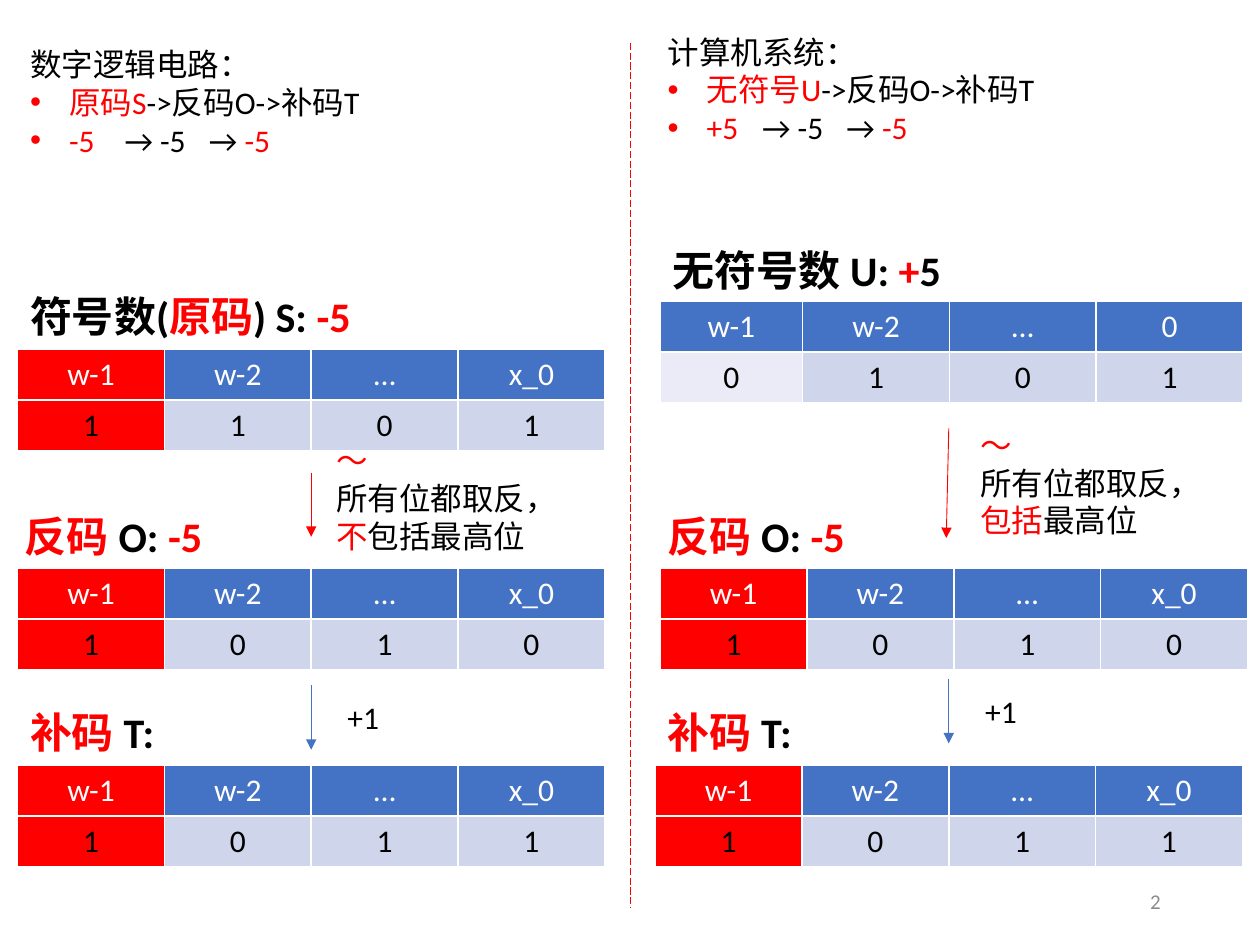
from lxml import etree
from pptx import Presentation
from pptx import util as u
from pptx.dml.color import RGBColor
from pptx.enum import dml, shapes, text
from pptx.oxml import ns

RED = RGBColor(0xFF, 0x00, 0x00)
BLUE = RGBColor(0x44, 0x72, 0xC4)
BLACK = RGBColor(0x00, 0x00, 0x00)
WHITE = RGBColor(0xFF, 0xFF, 0xFF)
GREY = RGBColor(0x8C, 0x8C, 0x8C)
BAND = RGBColor(0xCF, 0xD5, 0xEA)
PALE = RGBColor(0xEA, 0xEB, 0xF6)

FONT = "Calibri"
COLUMN, ROW = 1.165, 0.405
INDENT = 0.31
TAB_STOPS = (0.75, 1.42)

# Paragraphs are lists of (words, colour) spans.
# Headings: left, top, width, spans
ONES = [("反码 ", RED), ("O: ", BLACK), ("-5", RED)]
TWOS = [("补码 ", RED), ("T:", BLACK)]
HEADINGS = [
    (5.24, 1.89, 4.25, [("无符号数 U: ", BLACK), ("+", RED), ("5", BLACK)]),
    (0.14, 2.26, 4.63,
     [("符号数(", BLACK), ("原码", RED), (") S: ", BLACK), ("-5", RED)]),
    (0.10, 4.00, 3.66, ONES),
    (5.20, 4.00, 3.66, ONES),
    (0.14, 5.56, 1.54, TWOS),
    (5.20, 5.56, 1.54, TWOS),
]

# Tables: left, top, first column width, last label, bits, has a sign bit
TABLES = [
    (0.14, 2.77, COLUMN, "x_0", "1101", True),
    (0.14, 4.51, COLUMN, "x_0", "1010", True),
    (0.14, 6.07, COLUMN, "x_0", "1011", True),
    (5.24, 2.39, 1.13, "0", "0101", False),
    (5.24, 4.51, COLUMN, "x_0", "1010", True),
    (5.20, 6.07, COLUMN, "x_0", "1011", True),
]

# Introductions: left, top, width, title, starting code, starting value
INTRODUCTIONS = [
    (0.14, 0.31, 2.84, "数字逻辑电路：", "原码S", "-5"),
    (5.20, 0.21, 3.14, "计算机系统：", "无符号U", "+5"),
]

# Inversion notes: left, top, last line
NOTES = [
    (2.57, 3.45, [("不", RED), ("包括最高位", BLACK)]),
    (7.68, 3.33, [("包括", RED), ("最高位", BLACK)]),
]
INCREMENTS = [(2.66, 5.49), (7.72, 5.44)]

# Arrows: start, end, colour
ARROWS = [
    ((2.47, 3.75), (2.47, 4.26), RED),
    ((7.53, 3.40), (7.51, 4.27), RED),
    ((2.47, 5.44), (2.47, 5.95), BLUE),
    ((7.53, 5.39), (7.53, 5.90), BLUE),
]


def write_spans(para, spans, size=18, bold=False, align=None):
    para.alignment = align
    for words, color in spans:
        span = para.add_run()
        span.text = words
        span.font.name = FONT
        span.font.size = u.Pt(size)
        span.font.bold = bold
        span.font.color.rgb = color


def add_bullet(para):
    """Give the paragraph a hanging bullet and the shared tab stops."""
    props = para._p.get_or_add_pPr()
    props.set("marL", str(u.Inches(INDENT)))
    props.set("indent", str(-u.Inches(INDENT)))
    etree.SubElement(props, ns.qn("a:buFont"), typeface="Arial")
    etree.SubElement(props, ns.qn("a:buChar"), char="•")
    stops = etree.SubElement(props, ns.qn("a:tabLst"))
    for stop in TAB_STOPS:
        etree.SubElement(stops, ns.qn("a:tab"), pos=str(u.Inches(stop)), algn="l")


def add_text(page, at, paragraphs, wrap=False, bullets_from=None, grow=True,
             anchor=text.MSO_ANCHOR.TOP, **style):
    box = page.shapes.add_textbox(*map(u.Inches, at))
    frame = box.text_frame
    frame.word_wrap = wrap
    frame.vertical_anchor = anchor
    if grow:
        frame.auto_size = text.MSO_AUTO_SIZE.SHAPE_TO_FIT_TEXT
    for index, spans in enumerate(paragraphs):
        para = frame.add_paragraph() if index else frame.paragraphs[0]
        write_spans(para, spans, **style)
        if bullets_from is not None and index >= bullets_from:
            add_bullet(para)


def add_bit_table(page, left, top, first, last_label, bits, signed):
    labels = ["w-1", "w-2", "…", last_label]
    widths = [first] + [COLUMN] * 3
    frame = page.shapes.add_table(2, 4, *map(u.Inches, (left, top, sum(widths), 2 * ROW)))
    table = frame.table
    for column, width in zip(table.columns, widths):
        column.width = u.Inches(width)
    lead_fills = (RED, RED) if signed else (BLUE, PALE)
    rows = zip((labels, bits), (BLUE, BAND), lead_fills, (WHITE, BLACK))
    for row, (values, fill, lead_fill, color) in enumerate(rows):
        table.rows[row].height = u.Inches(ROW)
        for column, value in enumerate(values):
            cell = table.cell(row, column)
            cell.fill.solid()
            cell.fill.fore_color.rgb = fill if column else lead_fill
            write_spans(cell.text_frame.paragraphs[0], [(value, color)],
                        align=text.PP_ALIGN.CENTER)


def add_line(page, start, end, color, dash=None, arrow=False):
    line = page.shapes.add_connector(shapes.MSO_CONNECTOR.STRAIGHT,
                                     *map(u.Inches, start + end))
    line.line.color.rgb = color
    line.line.width = u.Pt(0.5)
    if dash:
        line.line.dash_style = dash
    if arrow:
        etree.SubElement(line.line._get_or_add_ln(), ns.qn("a:tailEnd"), type="triangle")
    etree.SubElement(line._element.spPr, ns.qn("a:effectLst"))


def main():
    deck = Presentation()
    deck.slide_width, deck.slide_height = u.Inches(10), u.Inches(7.5)
    page = deck.slides.add_slide(deck.slide_layouts[6])

    for left, top, width, spans in HEADINGS:
        add_text(page, (left, top, width, 0.5), [spans], wrap=True, size=24, bold=True)
    for table in TABLES:
        add_bit_table(page, *table)
    add_line(page, (5, 0.34), (5, 7.2), RED, dash=dml.MSO_LINE.LONG_DASH)
    for left, top, width, title, code, value in INTRODUCTIONS:
        paragraphs = [
            [(title, BLACK)],
            [(code, RED), ("->反码O->补码T", BLACK)],
            [(value + "\t", RED), ("→ -5\t→ ", BLACK), ("-5", RED)],
        ]
        add_text(page, (left, top, width, 1.01), paragraphs, bullets_from=1)
    for left, top, ending in NOTES:
        add_text(page, (left, top, 1.97, 1.01),
                 [[("～", RED)], [("所有位都取反，", BLACK)], ending])
    for left, top in INCREMENTS:
        add_text(page, (left, top, 0.46, 0.4), [[("+1", BLACK)]])
    for start, end, color in ARROWS:
        add_line(page, start, end, color, arrow=True)
    add_text(page, (7.06, 6.95, 2.25, 0.4), [[("2", GREY)]], wrap=True, grow=False,
             anchor=text.MSO_ANCHOR.MIDDLE, size=12, align=text.PP_ALIGN.RIGHT)

    deck.save("out.pptx")


if __name__ == "__main__":
    main()
